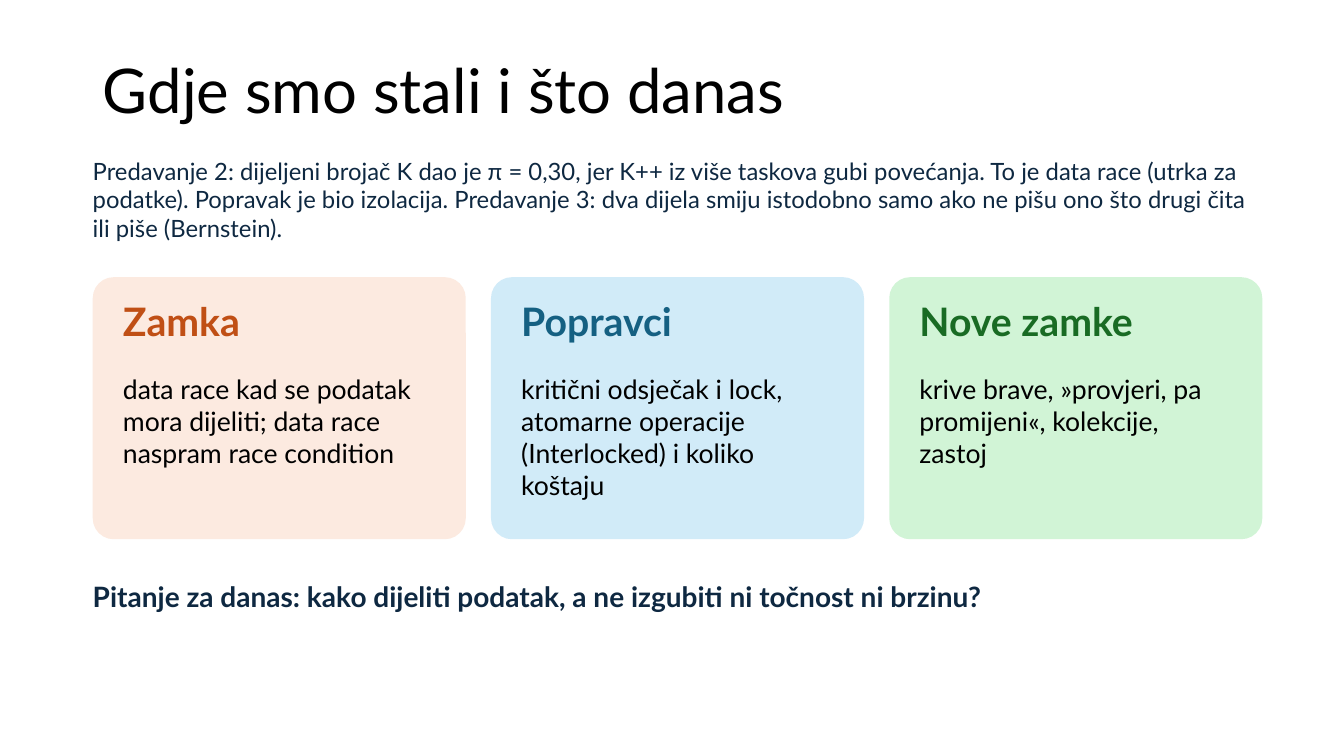
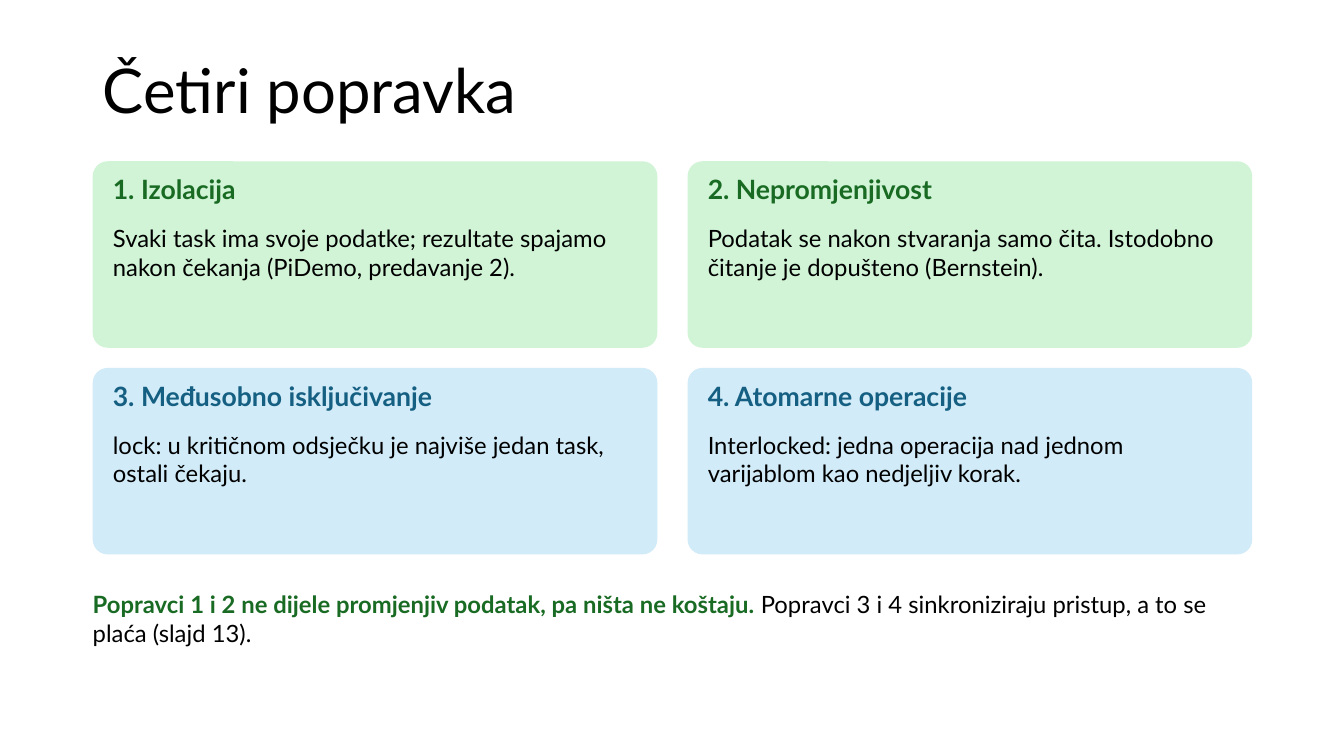
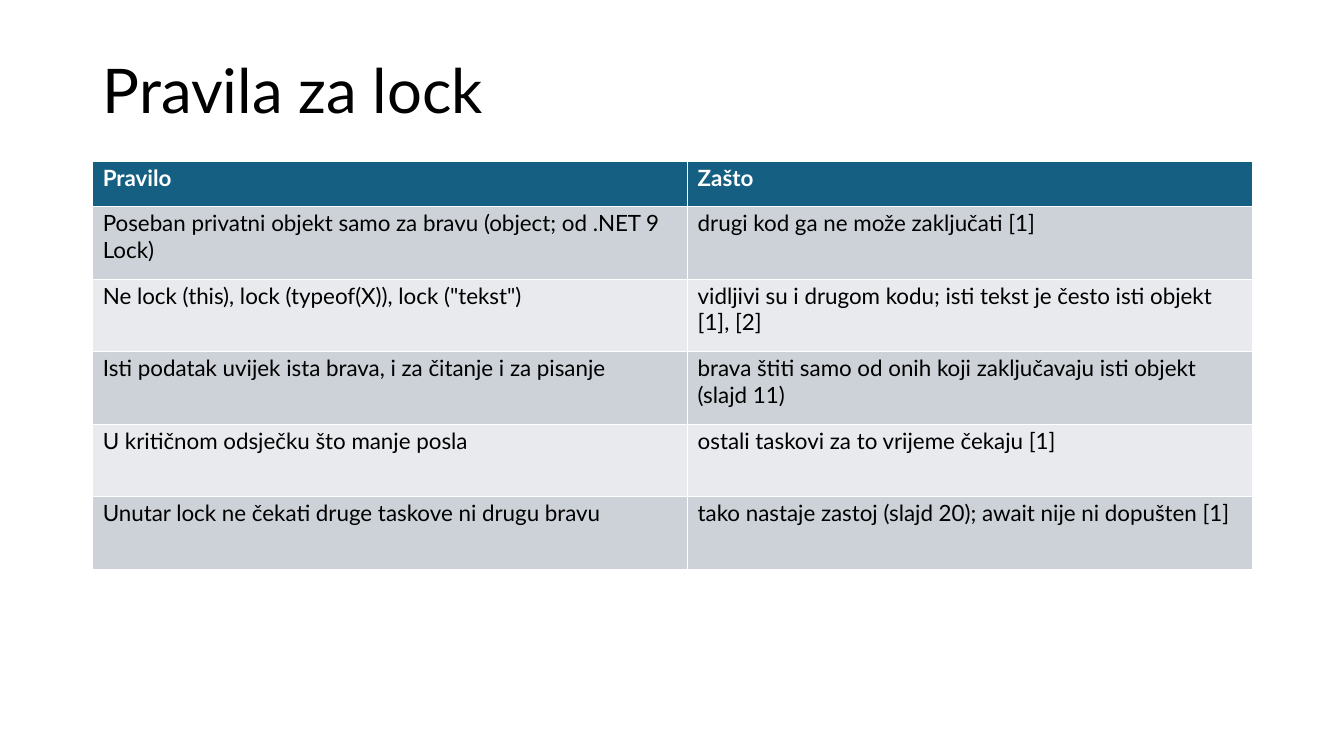
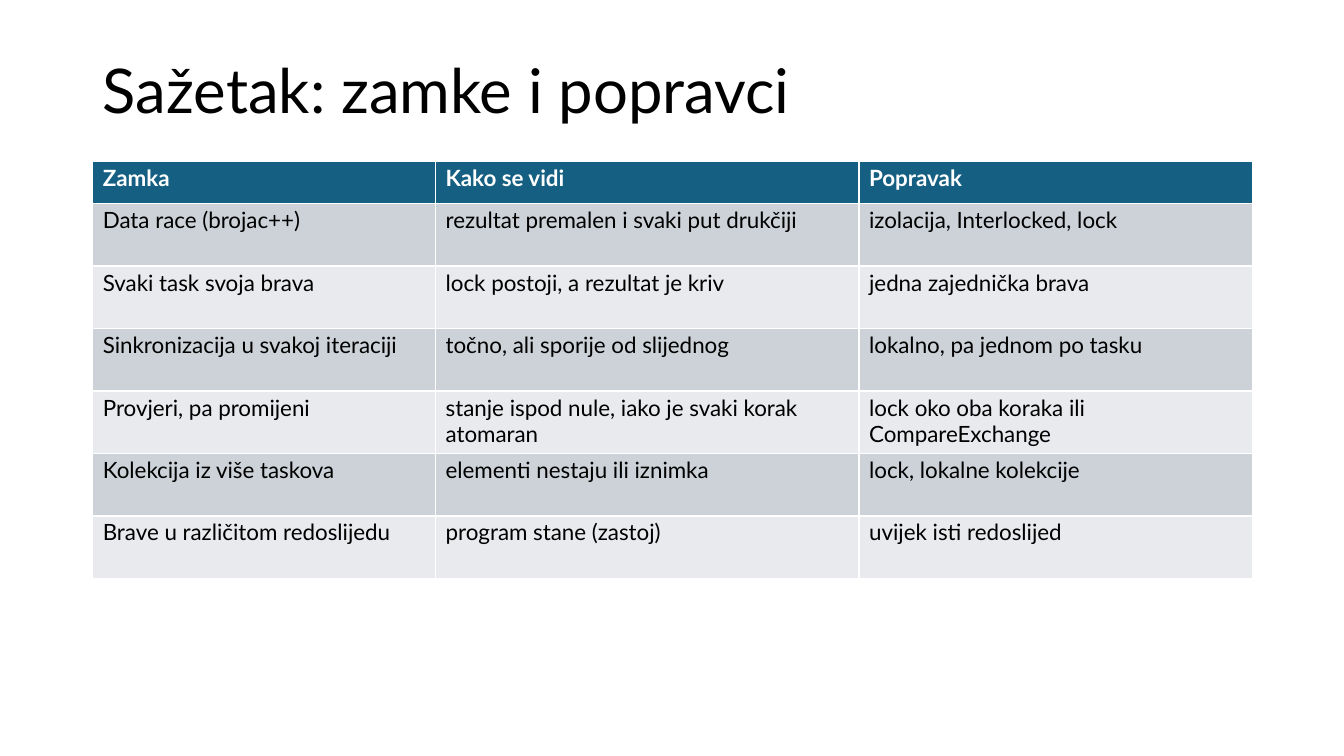
from dataclasses import dataclass

from pptx import Presentation
from pptx.dml.color import RGBColor
from pptx.enum.shapes import MSO_SHAPE
from pptx.enum.text import MSO_ANCHOR, MSO_AUTO_SIZE, PP_ALIGN
from pptx.slide import Slide
from pptx.text.text import Font
from pptx.util import Inches, Pt

ROUNDED = MSO_SHAPE.ROUNDED_RECTANGLE
MIDDLE = MSO_ANCHOR.MIDDLE
GROW = MSO_AUTO_SIZE.SHAPE_TO_FIT_TEXT
NO_FIT = MSO_AUTO_SIZE.NONE
LEFT = PP_ALIGN.LEFT

FONT = "Lato"
BLACK, WHITE, NAVY = "000000", "FFFFFF", "0E2841"
ORANGE, BLUE, GREEN = "C04F15", "156082", "196B24"
PALE_ORANGE, PALE_BLUE, PALE_GREEN = "FCEAE0", "D1EBF8", "D1F4D6"
ROW_FILLS = ("CCD2D8", "E8EAED")

MARGIN = 0.92
CONTENT_WIDTH = 11.5
TABLE_TOP = 1.6
TITLE_ONLY = 5


@dataclass(frozen=True)
class Card:
    heading: str
    body: str
    color: str
    fill: str


@dataclass(frozen=True)
class CardGrid:
    """Geometry and text sizes shared by a set of cards; offsets are from the card corner."""
    columns: int
    top: float
    width: float
    height: float
    gap_x: float
    gap_y: float
    inset: float
    heading_offset: float
    heading_height: float
    heading_size: int
    body_offset: float
    body_height: float
    body_size: int


@dataclass(frozen=True)
class Run:
    text: str
    color: str = BLACK
    bold: bool = False


@dataclass(frozen=True)
class TableData:
    column_widths: tuple[float, ...]
    header_height: float
    row_height: float
    rows: tuple[tuple[str, ...], ...]


THREE_CARDS = CardGrid(
    columns=3, top=2.75, width=3.7, height=2.6, gap_x=0.25, gap_y=0, inset=0.3,
    heading_offset=0.2, heading_height=0.6, heading_size=28,
    body_offset=0.95, body_height=1.6, body_size=19,
)
TWO_BY_TWO = CardGrid(
    columns=2, top=1.6, width=5.6, height=1.85, gap_x=0.3, gap_y=0.2, inset=0.2,
    heading_offset=0.12, heading_height=0.45, heading_size=19,
    body_offset=0.62, body_height=1.15, body_size=17,
)

TOPICS = (
    Card("Zamka",
         "data race kad se podatak mora dijeliti; data race naspram race condition",
         ORANGE, PALE_ORANGE),
    Card("Popravci",
         "kritični odsječak i lock, atomarne operacije (Interlocked) i koliko koštaju",
         BLUE, PALE_BLUE),
    Card("Nove zamke",
         "krive brave, »provjeri, pa promijeni«, kolekcije, zastoj",
         GREEN, PALE_GREEN),
)
FIXES = (
    Card("1. Izolacija",
         "Svaki task ima svoje podatke; rezultate spajamo nakon čekanja "
         "(PiDemo, predavanje 2).",
         GREEN, PALE_GREEN),
    Card("2. Nepromjenjivost",
         "Podatak se nakon stvaranja samo čita. Istodobno čitanje je dopušteno (Bernstein).",
         GREEN, PALE_GREEN),
    Card("3. Međusobno isključivanje",
         "lock: u kritičnom odsječku je najviše jedan task, ostali čekaju.",
         BLUE, PALE_BLUE),
    Card("4. Atomarne operacije",
         "Interlocked: jedna operacija nad jednom varijablom kao nedjeljiv korak.",
         BLUE, PALE_BLUE),
)
LOCK_RULES = TableData((5.9, 5.6), 0.45, 0.72, (
    ("Pravilo", "Zašto"),
    ("Poseban privatni objekt samo za bravu (object; od .NET 9 Lock)",
     "drugi kod ga ne može zaključati [1]"),
    ('Ne lock (this), lock (typeof(X)), lock ("tekst")',
     "vidljivi su i drugom kodu; isti tekst je često isti objekt [1], [2]"),
    ("Isti podatak uvijek ista brava, i za čitanje i za pisanje",
     "brava štiti samo od onih koji zaključavaju isti objekt (slajd 11)"),
    ("U kritičnom odsječku što manje posla",
     "ostali taskovi za to vrijeme čekaju [1]"),
    ("Unutar lock ne čekati druge taskove ni drugu bravu",
     "tako nastaje zastoj (slajd 20); await nije ni dopušten [1]"),
))
SUMMARY = TableData((3.4, 4.2, 3.9), 0.42, 0.62, (
    ("Zamka", "Kako se vidi", "Popravak"),
    ("Data race (brojac++)", "rezultat premalen i svaki put drukčiji",
     "izolacija, Interlocked, lock"),
    ("Svaki task svoja brava", "lock postoji, a rezultat je kriv",
     "jedna zajednička brava"),
    ("Sinkronizacija u svakoj iteraciji", "točno, ali sporije od slijednog",
     "lokalno, pa jednom po tasku"),
    ("Provjeri, pa promijeni", "stanje ispod nule, iako je svaki korak atomaran",
     "lock oko oba koraka ili CompareExchange"),
    ("Kolekcija iz više taskova", "elementi nestaju ili iznimka",
     "lock, lokalne kolekcije"),
    ("Brave u različitom redoslijedu", "program stane (zastoj)",
     "uvijek isti redoslijed"),
))


def rgb(color: str) -> RGBColor:
    return RGBColor.from_string(color)


def set_font(font: Font, size: int, color: str, bold: bool = False) -> None:
    font.name = FONT
    font.size = Pt(size)
    font.bold = bold
    font.color.rgb = rgb(color)


def add_slide(prs: Presentation, title: str) -> Slide:
    s = prs.slides.add_slide(prs.slide_layouts[TITLE_ONLY])
    sp = s.shapes.title
    sp.left, sp.top = Inches(MARGIN), Inches(0.4)
    sp.width, sp.height = Inches(CONTENT_WIDTH), Inches(1.06)
    tf = sp.text_frame
    tf.text = title
    tf.auto_size = NO_FIT
    tf.vertical_anchor = MIDDLE
    p = tf.paragraphs[0]
    p.alignment = LEFT
    p.line_spacing = 0.9
    set_font(p.font, 44, BLACK)
    return s


def add_text(s: Slide, left: float, top: float, width: float, height: float,
             size: int, *runs: Run) -> None:
    sp = s.shapes.add_textbox(Inches(left), Inches(top), Inches(width), Inches(height))
    tf = sp.text_frame
    tf.word_wrap = True
    tf.auto_size = GROW
    tf.margin_left = tf.margin_top = tf.margin_right = tf.margin_bottom = 0
    p = tf.paragraphs[0]
    set_font(p.font, size, runs[0].color, runs[0].bold)
    for run in runs:
        r = p.add_run()
        r.text = run.text
        if len(runs) > 1:
            set_font(r.font, size, run.color, run.bold)


def add_note(s: Slide, top: float, size: int, *runs: Run) -> None:
    """Add a paragraph across the full content width."""
    add_text(s, MARGIN, top, CONTENT_WIDTH, 0.9, size, *runs)


def add_cards(s: Slide, grid: CardGrid, cards: tuple[Card, ...]) -> None:
    for i, card in enumerate(cards):
        row, column = divmod(i, grid.columns)
        left = MARGIN + column * (grid.width + grid.gap_x)
        top = grid.top + row * (grid.height + grid.gap_y)
        sp = s.shapes.add_shape(ROUNDED, Inches(left), Inches(top),
                                Inches(grid.width), Inches(grid.height))
        sp.adjustments[0] = 0.08
        sp.shadow.inherit = False
        sp.fill.solid()
        sp.fill.fore_color.rgb = rgb(card.fill)
        sp.line.fill.background()

        text_left = left + grid.inset
        text_width = grid.width - 2 * grid.inset
        add_text(s, text_left, top + grid.heading_offset, text_width,
                 grid.heading_height, grid.heading_size,
                 Run(card.heading, card.color, bold=True))
        add_text(s, text_left, top + grid.body_offset, text_width,
                 grid.body_height, grid.body_size, Run(card.body))


def add_table(s: Slide, data: TableData) -> None:
    """Add a table whose white rules come from the default table style."""
    height = data.header_height + data.row_height * (len(data.rows) - 1)
    table = s.shapes.add_table(
        len(data.rows), len(data.column_widths), Inches(MARGIN), Inches(TABLE_TOP),
        Inches(CONTENT_WIDTH), Inches(height)).table
    for column, width in zip(table.columns, data.column_widths):
        column.width = Inches(width)
    for i, texts in enumerate(data.rows):
        header = i == 0
        table.rows[i].height = Inches(data.header_height if header else data.row_height)
        fill = BLUE if header else ROW_FILLS[(i - 1) % 2]
        for j, text in enumerate(texts):
            cell = table.cell(i, j)
            cell.text = text
            cell.margin_left = cell.margin_right = Inches(0.1)
            cell.margin_top = cell.margin_bottom = Inches(0.03)
            cell.fill.solid()
            cell.fill.fore_color.rgb = rgb(fill)
            set_font(cell.text_frame.paragraphs[0].font, 16,
                     WHITE if header else BLACK, header)


def main() -> None:
    prs = Presentation()
    prs.slide_width, prs.slide_height = Inches(13.33), Inches(7.5)

    s = add_slide(prs, "Gdje smo stali i što danas")
    add_note(s, 1.55, 17, Run(
        "Predavanje 2: dijeljeni brojač K dao je π = 0,30, jer K++ iz više taskova gubi "
        "povećanja. To je data race (utrka za podatke). Popravak je bio izolacija. "
        "Predavanje 3: dva dijela smiju istodobno samo ako ne pišu ono što drugi čita "
        "ili piše (Bernstein).", NAVY))
    add_cards(s, THREE_CARDS, TOPICS)
    add_note(s, 5.75, 20, Run(
        "Pitanje za danas: kako dijeliti podatak, a ne izgubiti ni točnost ni brzinu?",
        NAVY, bold=True))

    s = add_slide(prs, "Četiri popravka")
    add_cards(s, TWO_BY_TWO, FIXES)
    add_note(s, 5.85, 17,
             Run("Popravci 1 i 2 ne dijele promjenjiv podatak, pa ništa ne koštaju. ",
                 GREEN, bold=True),
             Run("Popravci 3 i 4 sinkroniziraju pristup, a to se plaća (slajd 13)."))

    add_table(add_slide(prs, "Pravila za lock"), LOCK_RULES)
    add_table(add_slide(prs, "Sažetak: zamke i popravci"), SUMMARY)

    prs.save("out.pptx")


if __name__ == "__main__":
    main()
